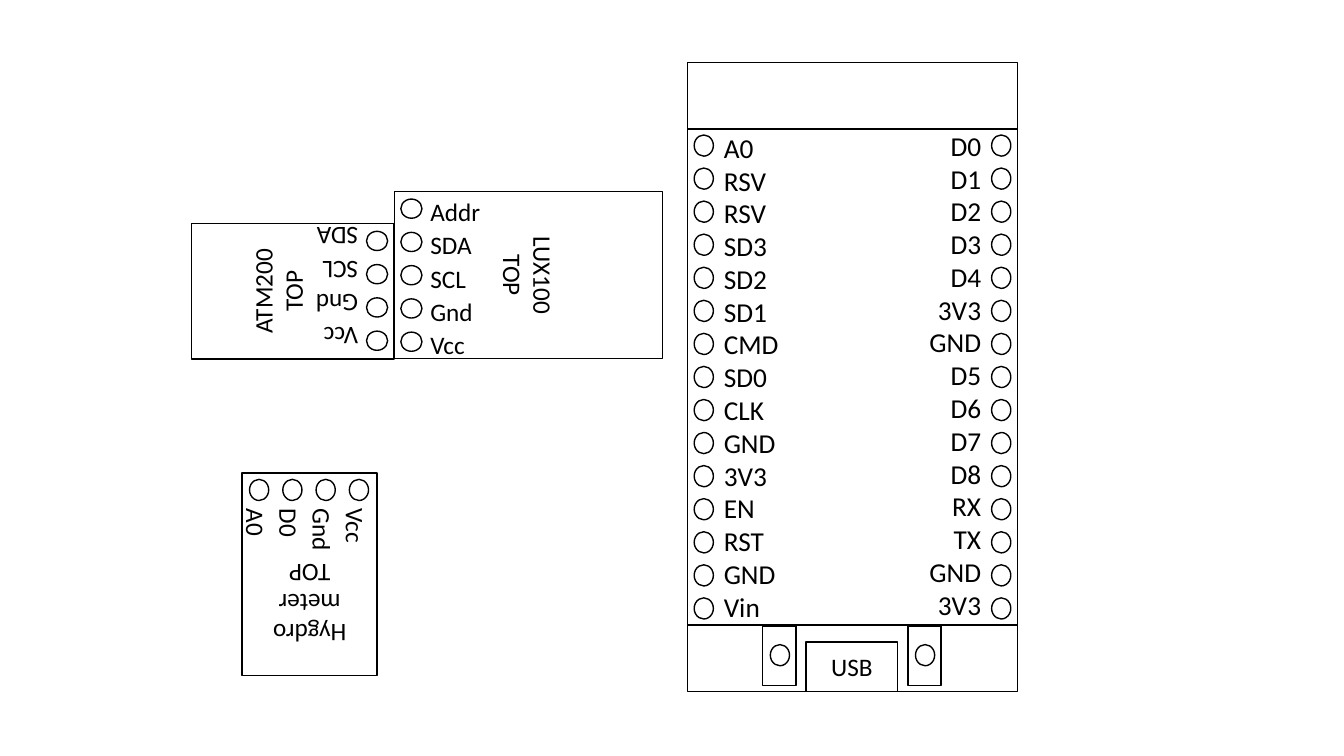
from math import cos, radians, sin

from pptx import Presentation
from pptx.dml.color import RGBColor
from pptx.enum.shapes import MSO_SHAPE as SHAPE
from pptx.enum.text import MSO_ANCHOR as ANCHOR, PP_ALIGN as ALIGN
from pptx.util import Inches, Pt

INK = "000000"
FONT = "Calibri"
HOLE_WIDTH, HOLE_HEIGHT = 0.19, 0.21
LEFT_PINS = ["A0", "RSV", "RSV", "SD3", "SD2", "SD1", "CMD", "SD0",
             "CLK", "GND", "3V3", "EN", "RST", "GND", "Vin"]
RIGHT_PINS = ["D0", "D1", "D2", "D3", "D4", "3V3", "GND", "D5",
              "D6", "D7", "D8", "RX", "TX", "GND", "3V3"]


def color(value):
    """Turn a hex string into a colour."""
    return RGBColor.from_string(value)


def write(shape, lines, size, align, anchor=ANCHOR.TOP, spacing=None):
    """Fill a shape with one paragraph per line."""
    frame = shape.text_frame
    frame.word_wrap = True
    frame.vertical_anchor = anchor
    frame.text = "\n".join(lines)
    for para in frame.paragraphs:
        para.alignment = align
        if spacing:
            para.line_spacing = Pt(spacing)
        for span in para.runs:
            span.font.name = FONT
            span.font.size = Pt(size)
            span.font.color.rgb = color(INK)


def outline(group, kind, left, top, width, height, turn=0):
    """Draw an unfilled shape with a thin line."""
    shape = group.shapes.add_shape(
        kind, Inches(left), Inches(top), Inches(width), Inches(height))
    shape.rotation = turn
    shape.shadow.inherit = False
    shape.fill.background()
    shape.line.color.rgb = color(INK)
    shape.line.width = Pt(1)
    return shape


def hole(group, x, y, turn=0):
    """Draw a pin hole centred on a point."""
    outline(group, SHAPE.OVAL, x - HOLE_WIDTH / 2, y - HOLE_HEIGHT / 2,
            HOLE_WIDTH, HOLE_HEIGHT, turn)


def label(group, left, top, width, height):
    """Add an empty text box."""
    return group.shapes.add_textbox(
        Inches(left), Inches(top), Inches(width), Inches(height))


def add_board(page, left, top, width, height):
    """Draw the controller board with its two pin columns and USB end."""
    group = page.shapes.add_group_shape()
    end = 0.66
    pitch = (height - 2 * end) / len(LEFT_PINS)
    bottom = top + height - end
    middle = left + width / 2
    outline(group, SHAPE.RECTANGLE, left, top + end, width, height - 2 * end)
    for edge in (top, bottom):
        outline(group, SHAPE.RECTANGLE, left, edge, width, end)
    for x in (left + 0.16, left + width - 0.16):
        for row in range(len(LEFT_PINS)):
            hole(group, x, top + end + pitch * (row + 0.5))

    usb = outline(group, SHAPE.RECTANGLE, middle - 0.46, bottom + 0.17, 0.91, 0.49)
    write(usb, ["USB"], 18, ALIGN.CENTER, ANCHOR.MIDDLE)
    for x in (middle - 0.72, middle + 0.72):
        outline(group, SHAPE.RECTANGLE, x - 0.17, bottom + 0.01, 0.33, 0.59)
        hole(group, x, bottom + 0.3)

    columns = ((left + 0.26, 0.63, LEFT_PINS, ALIGN.LEFT),
               (left + width - 1.18, 0.61, RIGHT_PINS, ALIGN.RIGHT))
    for x, drop, pins, align in columns:
        write(label(group, x, top + drop, 0.92, 5.02), pins, 19.5, align, spacing=23.4)


def add_sensor(page, box, turn, name, pins, first, step, margin=0.05):
    """Draw a turned sensor with a row of pin holes and their labels."""
    group = page.shapes.add_group_shape()
    left, top, width, height = box
    body_width, body_height = (height, width) if turn % 180 else (width, height)
    body = outline(group, SHAPE.RECTANGLE, left + (width - body_width) / 2,
                   top + (height - body_height) / 2, body_width, body_height, turn)
    write(body, name, 18, ALIGN.CENTER, ANCHOR.MIDDLE)
    body.text_frame.margin_bottom = Inches(margin)

    label_turn = turn - 90
    across, down = cos(radians(label_turn)), sin(radians(label_turn))
    reach, sink = 0.44, 0.03
    for index, pin in enumerate(pins):
        x = left + first[0] + index * step[0]
        y = top + first[1] + index * step[1]
        hole(group, x, y, turn)
        text = label(group, x + reach * across - sink * down - 0.35,
                     y + reach * down + sink * across - 0.2, 0.7, 0.4)
        text.rotation = label_turn
        write(text, [pin], 18, ALIGN.LEFT)


def main():
    """Build the wiring slide."""
    deck = Presentation()
    deck.slide_width, deck.slide_height = Inches(13.33), Inches(7.5)
    page = deck.slides.add_slide(deck.slide_layouts[6])
    add_board(page, 6.82, 0.62, 3.27, 6.24)
    add_sensor(page, (3.91, 1.9, 2.66, 1.66), 90, ["LUX100", "TOP"],
               ["Addr", "SDA", "SCL", "Gnd", "Vcc"], (0.17, 0.17), (0, 0.33))
    add_sensor(page, (1.9, 2.22, 2.01, 1.34), 270, ["ATM200", "TOP"],
               ["SDA", "SCL", "Gnd", "Vcc"], (1.84, 0.17), (0, 0.33), 0.35)
    add_sensor(page, (2.4, 4.69, 1.34, 2.01), 180, ["Hygdro", "meter", "TOP"],
               ["A0", "D0", "Gnd", "Vcc"], (0.17, 0.17), (0.33, 0), 0.66)
    deck.save("out.pptx")


if __name__ == "__main__":
    main()
